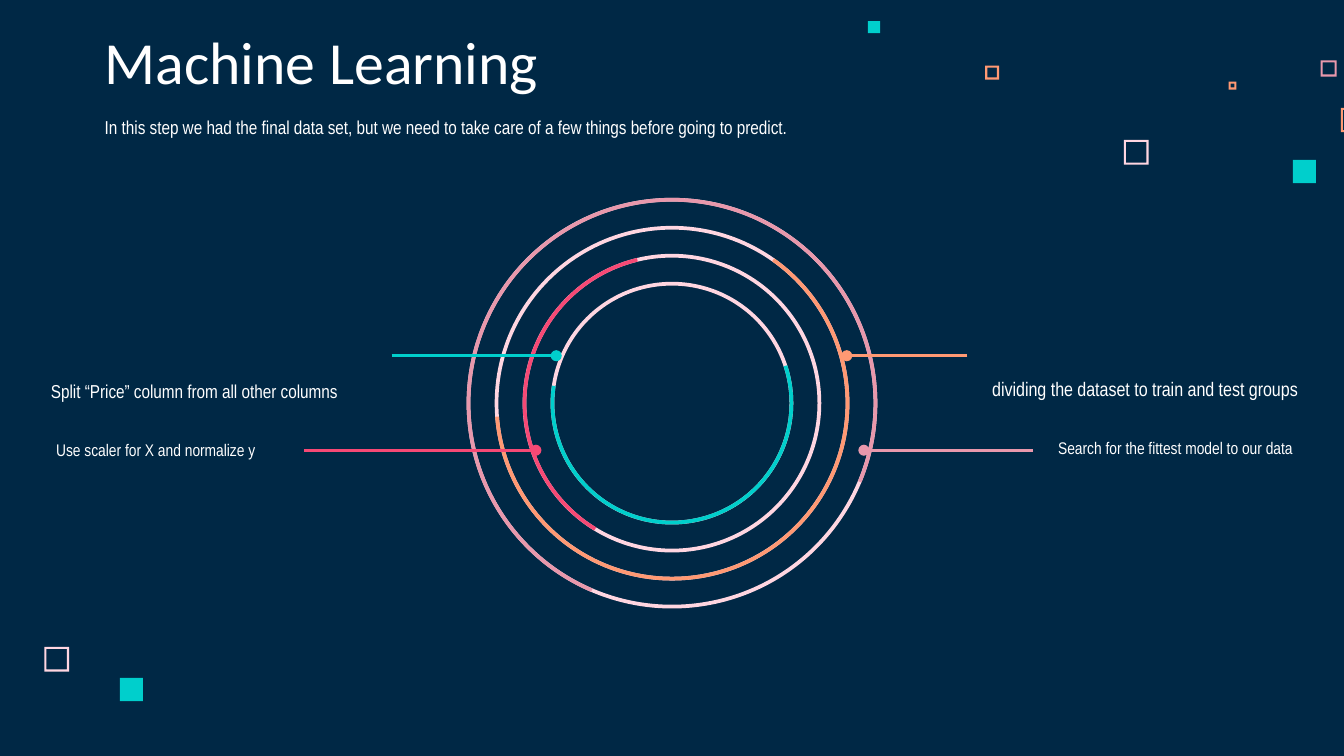
from dataclasses import dataclass

import pptx
import pptx.dml.color
import pptx.enum.shapes
import pptx.enum.text
import pptx.oxml
import pptx.oxml.ns
import pptx.util

Pt = pptx.util.Pt
Shape = pptx.enum.shapes.MSO_SHAPE
Anchor = pptx.enum.text.MSO_ANCHOR


@dataclass(frozen=True)
class Theme:
    background: str = "002845"
    white: str = "FFFFFF"
    blush: str = "FFD6E1"
    rose: str = "E898AC"
    orange: str = "FF9973"
    red: str = "F64975"
    teal: str = "00CFCC"
    title_font: str = "Calibri"
    body_font: str = "Arial Narrow"
    title_size: float = 32
    large_size: float = 10.5
    body_size: float = 10
    small_size: float = 9


THEME = Theme()
CENTER_X, CENTER_Y = 360, 216
OUTER_RADIUS, RING_STEP, RING_WIDTH = 110, 15, 2
FRAME_WIDTH = 1.1

# left, top, side, colour
FRAMES = [
    (602.1, 75, 13.2, THEME.blush),
    (707.5, 32.4, 8.6, THEME.rose),
    (658.2, 43.8, 4.2, THEME.orange),
    (718.3, 57.8, 13, THEME.orange),
    (527.8, 35.2, 7.4, THEME.orange),
    (23.8, 346.6, 13.2, THEME.blush),
]
SQUARES = [(692.6, 85.7, 12.4), (465, 11.3, 6.5), (64.2, 363.2, 12.4)]

# start angle, end angle, rotation, colour; outermost ring first
ARCS = [
    (263.2, 172.7, 210, THEME.rose),
    (305.2, 175.6, 0, THEME.orange),
    (40.2, 175.2, 81.2, THEME.red),
    (328.7, 175.2, 13.1, THEME.teal),
]

# outer end, ring end, height, colour
POINTERS = [
    (209.8, 298, 190.6, THEME.teal),
    (162.8, 287.1, 241.2, THEME.red),
    (518.2, 453.6, 190.6, THEME.orange),
    (553.2, 462.8, 241.2, THEME.rose),
]


def color(value):
    return pptx.dml.color.RGBColor.from_string(value)


def add_filled(slide, kind, left, top, width, height, fill):
    shape = slide.shapes.add_shape(kind, Pt(left), Pt(top), Pt(width), Pt(height))
    shape.shadow.inherit = False
    shape.fill.solid()
    shape.fill.fore_color.rgb = color(fill)
    shape.line.fill.background()
    return shape


def add_confetti(slide):
    """Scatter the small hollow and solid squares."""
    for left, top, side, fill in FRAMES:
        frame = add_filled(slide, Shape.FRAME, left, top, side, side, fill)
        frame.adjustments[0] = FRAME_WIDTH / side
    for left, top, side in SQUARES:
        add_filled(slide, Shape.RECTANGLE, left, top, side, side, THEME.teal)


def add_ring_part(slide, kind, radius, fill):
    return add_filled(slide, kind, CENTER_X - radius, CENTER_Y - radius,
                      2 * radius, 2 * radius, fill)


def add_rings(slide):
    radii = [OUTER_RADIUS - RING_STEP * index for index in range(len(ARCS))]
    for radius in radii:
        ring = add_ring_part(slide, Shape.DONUT, radius, THEME.blush)
        ring.adjustments[0] = RING_WIDTH / (2 * radius)
    for radius, (start, end, rotation, fill) in zip(radii, ARCS):
        arc = add_ring_part(slide, Shape.BLOCK_ARC, radius, fill)
        # Angles are stored in 1/60000 degree, adjustments in 1/100000.
        arc.adjustments[0] = start * 0.6
        arc.adjustments[1] = end * 0.6
        arc.adjustments[2] = RING_WIDTH / (2 * radius)
        arc.rotation = rotation


def add_pointer(slide, outer, inner, y, stroke):
    """Draw a line that ends in a dot on its ring."""
    line = slide.shapes.add_connector(
        pptx.enum.shapes.MSO_CONNECTOR.STRAIGHT, Pt(outer), Pt(y), Pt(inner), Pt(y))
    line.line.color.rgb = color(stroke)
    line.line.width = Pt(1.5)
    tail = pptx.oxml.parse_xml(
        f'<a:tailEnd {pptx.oxml.ns.nsdecls("a")} type="oval" w="med" len="med"/>')
    line.line._get_or_add_ln().append(tail)
    line._element.spPr.append(
        pptx.oxml.parse_xml(f'<a:effectLst {pptx.oxml.ns.nsdecls("a")}/>'))


def add_text(slide, text, box, size, anchor=Anchor.BOTTOM,
             font=THEME.body_font, spacing=None, hanging=False):
    shape = slide.shapes.add_textbox(*(Pt(length) for length in box))
    frame = shape.text_frame
    frame.word_wrap = True
    frame.vertical_anchor = anchor
    frame.margin_left = frame.margin_right = Pt(7.2)
    frame.margin_top = frame.margin_bottom = Pt(7.2)
    paragraph = frame.paragraphs[0]
    if spacing:
        paragraph.line_spacing = spacing
    if hanging:
        properties = paragraph._p.get_or_add_pPr()
        properties.set("marL", str(Pt(36)))
        properties.set("indent", str(-Pt(27)))
    run = paragraph.add_run()
    run.text = text
    run.font.name = font
    run.font.size = Pt(size)
    run.font.color.rgb = color(THEME.white)


def add_labels(slide):
    add_text(slide, "Split “Price” column from all other columns",
             (20.2, 164.2, 198, 58.3), THEME.body_size, spacing=1.15)
    add_text(slide, "dividing the dataset to train and test groups",
             (515.5, 144.7, 213.8, 77), THEME.large_size, spacing=1.15, hanging=True)
    add_text(slide, "Use scaler for X and normalize y",
             (23, 227.5, 229, 59), THEME.small_size, Anchor.TOP, spacing=1.15)
    add_text(slide, "Search for the fittest model to our data",
             (550.8, 226.8, 182.2, 54.7), THEME.small_size, Anchor.TOP,
             spacing=1.15, hanging=True)


def main():
    presentation = pptx.Presentation()
    presentation.slide_width, presentation.slide_height = Pt(720), Pt(405)
    slide = presentation.slides.add_slide(presentation.slide_layouts[6])
    slide.background.fill.solid()
    slide.background.fill.fore_color.rgb = color(THEME.background)

    add_confetti(slide)
    add_text(slide, "Machine Learning", (49, 13.7, 372.2, 45.4),
             THEME.title_size, font=THEME.title_font)
    add_labels(slide)
    add_rings(slide)
    for pointer in POINTERS:
        add_pointer(slide, *pointer)
    add_text(slide, "In this step we had the final data set, but we need to take care "
             "of a few things before going to predict.",
             (49, 47.5, 469.4, 32.4), THEME.body_size)
    presentation.save("out.pptx")


if __name__ == "__main__":
    main()
